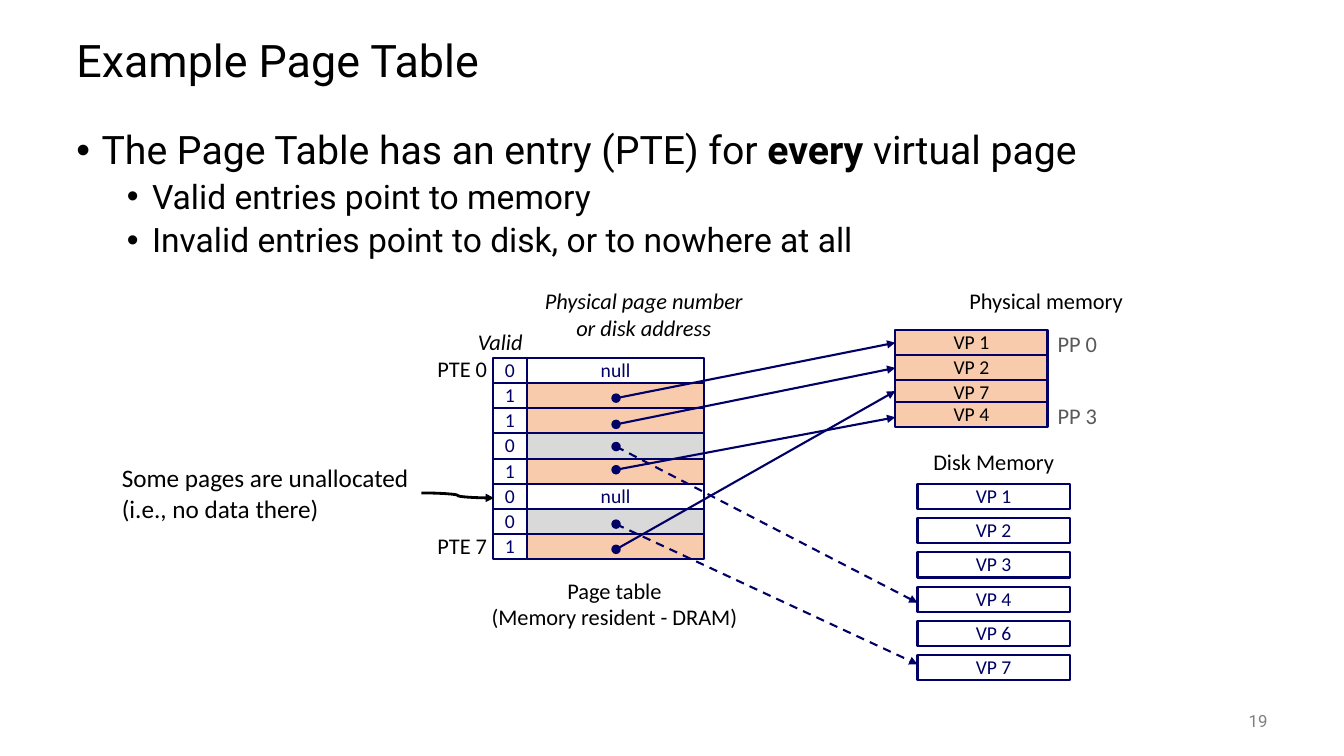
import pptx
import pptx.dml.color
import pptx.enum.dml
import pptx.enum.shapes
import pptx.enum.text
import pptx.oxml.ns
import pptx.util
import lxml.etree

BLACK, NAVY, WHITE = "000000", "000066", "FFFFFF"
PEACH, SILVER, GRAPHITE, GREY = "F8CBAD", "D9D9D9", "595959", "808080"
ALIGN = pptx.enum.text.PP_ALIGN
ANCHOR = pptx.enum.text.MSO_ANCHOR
SHAPE = pptx.enum.shapes.MSO_SHAPE
CONNECTOR = pptx.enum.shapes.MSO_CONNECTOR


def color(value):
    return pptx.dml.color.RGBColor.from_string(value)


def grid(*counts):
    return [pptx.util.Inches(count / 4) for count in counts]


def add_element(parent, name, **attributes):
    element = lxml.etree.SubElement(parent, pptx.oxml.ns.qn(name))
    for key, value in attributes.items():
        element.set(key, value)


def write(para, text, size=16, font="Calibri", ink=BLACK, italic=False,
          align=ALIGN.LEFT, spacing=0.98, before=0, bullet_indent=None):
    para.alignment = align
    para.line_spacing = spacing
    para.space_before = pptx.util.Pt(before)
    if bullet_indent is not None:
        margin, hang = grid(bullet_indent, -1)
        properties = para._p.get_or_add_pPr()
        properties.set("marL", str(margin))
        properties.set("indent", str(hang))
        add_element(properties, "a:buFont", typeface="Arial")
        add_element(properties, "a:buChar", char="•")
    for line_index, line in enumerate(text.split("\n")):
        if line_index:
            para.add_line_break()
        for part_index, part in enumerate(line.split("**")):
            span = para.add_run()
            span.text = part
            span.font.name = font
            span.font.size = pptx.util.Pt(size)
            span.font.bold = part_index % 2 == 1
            span.font.italic = italic
            span.font.color.rgb = color(ink)


class Diagram:
    line_color = NAVY
    line_width = 1.5

    def __init__(self, page):
        self.page = page

    def label(self, left, top, width, height, *texts, anchor=ANCHOR.TOP,
              wrap=True, **style):
        box = self.page.shapes.add_textbox(*grid(left, top, width, height))
        frame = box.text_frame
        frame.word_wrap = wrap
        frame.vertical_anchor = anchor
        for index, text in enumerate(texts):
            para = frame.add_paragraph() if index else frame.paragraphs[0]
            overrides = text[1] if isinstance(text, tuple) else {}
            content = text[0] if isinstance(text, tuple) else text
            write(para, content, **{**style, **overrides})

    def shape(self, kind, left, top, width, height, fill, line_width):
        shape = self.page.shapes.add_shape(kind, *grid(left, top, width, height))
        shape.shadow.inherit = False
        shape.fill.solid()
        shape.fill.fore_color.rgb = color(fill)
        shape.line.color.rgb = color(self.line_color)
        shape.line.width = pptx.util.Pt(line_width)
        return shape

    def cell(self, left, top, width, fill=WHITE, text="", ink=NAVY, height=1):
        box = self.shape(SHAPE.RECTANGLE, left, top, width, height, fill, self.line_width)
        if text:
            frame = box.text_frame
            frame.word_wrap = False
            frame.vertical_anchor = ANCHOR.MIDDLE
            write(frame.paragraphs[0], text, size=14, ink=ink, align=ALIGN.CENTER)

    def dot(self, center_x, center_y, size=0.32):
        self.shape(SHAPE.OVAL, center_x - size / 2, center_y - size / 2,
                   size, size, self.line_color, 1)

    def arrow(self, start, end, kind=CONNECTOR.STRAIGHT, ink=NAVY, width=1.5,
              dashed=False):
        arrow = self.page.shapes.add_connector(kind, *grid(*start, *end))
        arrow.line.color.rgb = color(ink)
        arrow.line.width = pptx.util.Pt(width)
        if dashed:
            arrow.line.dash_style = pptx.enum.dml.MSO_LINE.DASH
        add_element(arrow.get_or_add_ln(), "a:tailEnd", type="triangle")
        add_element(arrow._element.spPr, "a:effectLst")


def draw_text(diagram):
    diagram.label(2.64, 1, 48, 3, "Example Page Table", size=32, font="Roboto",
                  spacing=0.9, anchor=ANCHOR.MIDDLE)
    second_level = dict(size=24, before=5, bullet_indent=3)
    diagram.label(
        2.64, 5, 48, 22,
        "The Page Table has an entry (PTE) for **every** virtual page",
        ("Valid entries point to memory", second_level),
        ("Invalid entries point to disk, or to nowhere at all", second_level),
        size=28, font="Roboto", spacing=0.9, bullet_indent=1)
    diagram.label(46.68, 27.8, 4, 1.6, "19", size=12, font="Roboto", ink=GREY,
                  align=ALIGN.RIGHT, spacing=1, anchor=ANCHOR.MIDDLE)


def draw_page_table(diagram):
    top = 14.2
    entries = [("0", WHITE, "null"), ("1", PEACH, ""), ("1", PEACH, ""),
               ("0", SILVER, ""), ("1", PEACH, ""), ("0", WHITE, "null"),
               ("0", SILVER, ""), ("1", PEACH, "")]
    for row, (valid, fill, address) in enumerate(entries):
        diagram.cell(20.92, top + row, 7, fill, address)
        diagram.cell(19.56, top + row, 1.34, WHITE, valid)
    diagram.label(18.92, 22.76, 10.92, 2.52, "Page table\n(Memory resident - DRAM)",
                  align=ALIGN.CENTER, wrap=False)
    diagram.label(18.56, 12.88, 3, 1.48, "Valid", italic=True)
    diagram.label(21.2, 11.24, 8.68, 2.52, "Physical page number\nor disk address",
                  italic=True, align=ALIGN.CENTER, anchor=ANCHOR.MIDDLE)
    for row, name in [(13.92, "PTE 0"), (20.96, "PTE 7")]:
        diagram.label(16.92, row, 2.8, 1.48, name, align=ALIGN.RIGHT,
                      anchor=ANCHOR.MIDDLE, wrap=False)


def draw_memories(diagram):
    for row, name in [(13.08, "VP 1"), (14.08, "VP 2"), (15.08, "VP 7"), (15.96, "VP 4")]:
        diagram.cell(35.52, row, 6.04, PEACH, name, BLACK)
    for index, number in enumerate([1, 2, 3, 4, 6, 7]):
        diagram.cell(36.4, 19.2 + 1.36 * index, 6.04, WHITE, f"VP {number}")
    diagram.label(35.12, 11.24, 12.76, 1.48, "Physical memory", align=ALIGN.CENTER)
    diagram.label(36.6, 17.64, 5.64, 1.48, "Disk Memory", align=ALIGN.CENTER, wrap=False)
    for row, name in [(12.92, "PP 0"), (15.8, "PP 3")]:
        diagram.label(41.54, row, 2.4, 1.48, name, ink=GRAPHITE, align=ALIGN.CENTER,
                      anchor=ANCHOR.MIDDLE, wrap=False)


def draw_pointers(diagram):
    dot_column, memory, disk = 24.44, 35.52, 36.4
    pointers = [(15.8, memory, 13.6), (16.84, memory, 14.6), (17.72, disk, 23.92),
                (18.64, memory, 16.56), (20.8, disk, 26.36), (21.8, memory, 15.52)]
    for start_row, column, end_row in pointers:
        diagram.arrow((dot_column, start_row), (column, end_row), dashed=column == disk)
        diagram.dot(dot_column, start_row)


def draw_note(diagram):
    diagram.label(4.44, 18.16, 12.28, 2.84,
                  "Some pages are unallocated (i.e., no data there)", size=18, spacing=1)
    diagram.arrow((16.72, 19.56), (19.6, 19.76), CONNECTOR.CURVE, BLACK, 2)


def main():
    deck = pptx.Presentation()
    deck.slide_width = pptx.util.Inches(13.33)
    deck.slide_height = pptx.util.Inches(7.5)
    diagram = Diagram(deck.slides.add_slide(deck.slide_layouts[6]))
    draw_text(diagram)
    draw_page_table(diagram)
    draw_memories(diagram)
    draw_pointers(diagram)
    draw_note(diagram)
    deck.save("out.pptx")


if __name__ == "__main__":
    main()
